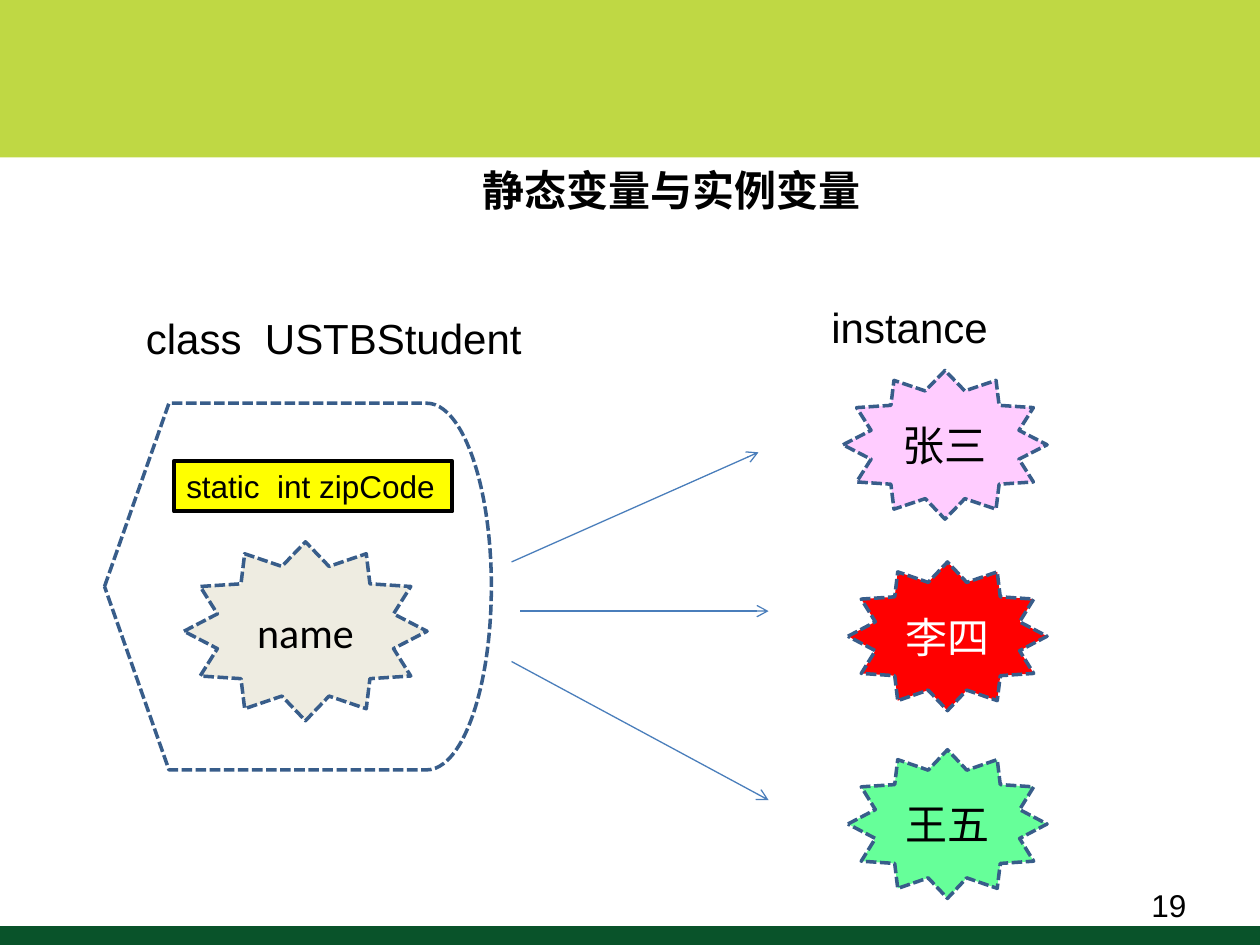
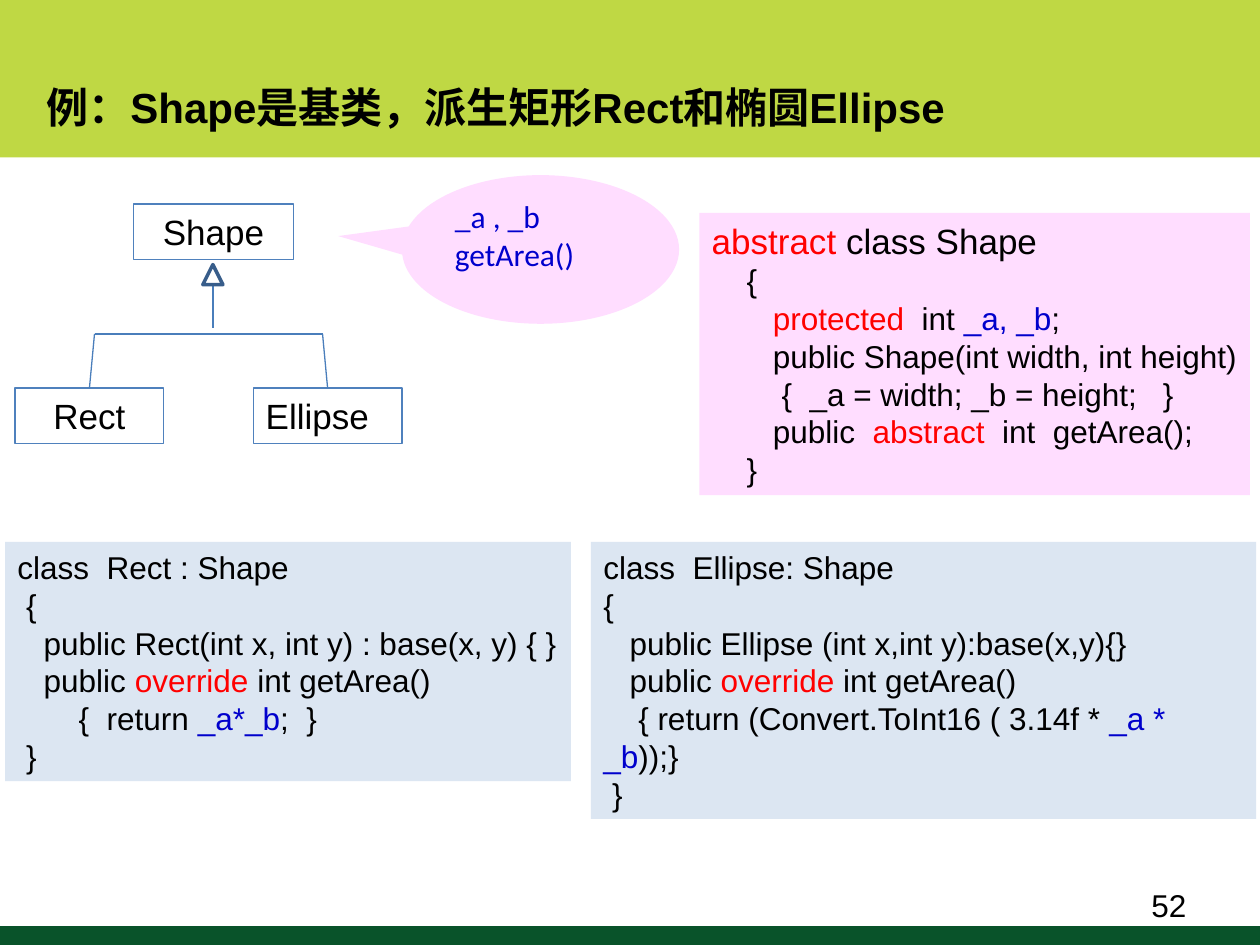
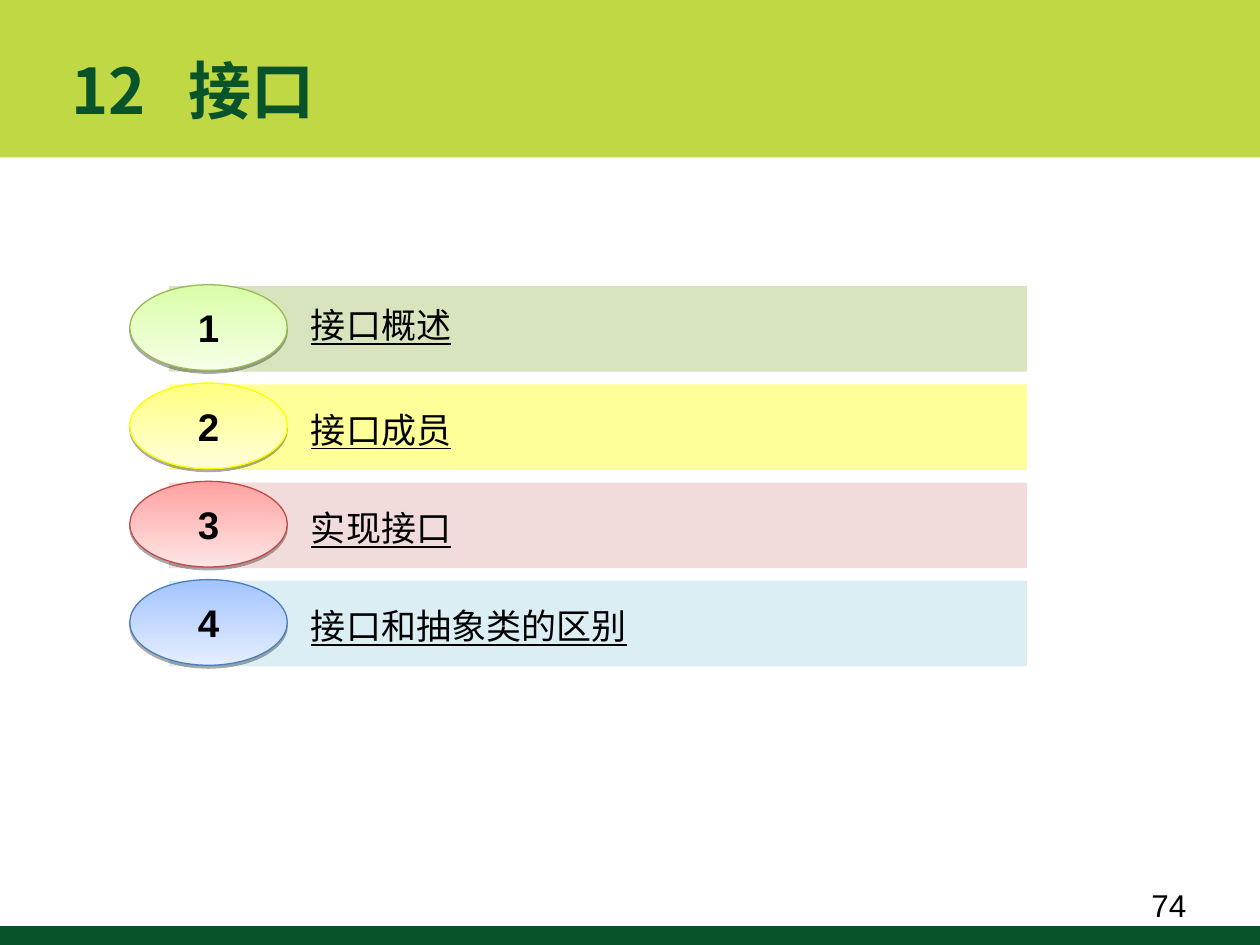
"""Build three teaching slides on static variables, inheritance and interfaces."""
from dataclasses import dataclass
from typing import NamedTuple, Optional, Union

from lxml.etree import SubElement
from pptx import Presentation
from pptx.dml.color import RGBColor
from pptx.enum.dml import MSO_LINE
from pptx.enum.shapes import MSO_CONNECTOR, MSO_SHAPE as Preset
from pptx.enum.text import MSO_ANCHOR as Anchor, PP_ALIGN as Align
from pptx.oxml.ns import qn
from pptx.shapes.autoshape import Shape
from pptx.shapes.connector import Connector
from pptx.slide import Slide
from pptx.util import Inches, Pt

BLACK = RGBColor(0x00, 0x00, 0x00)
WHITE = RGBColor(0xFF, 0xFF, 0xFF)
LIME = RGBColor(0xBF, 0xD8, 0x44)
FOREST = RGBColor(0x09, 0x53, 0x2A)
RED = RGBColor(0xFF, 0x00, 0x00)
BLUE = RGBColor(0x00, 0x00, 0xCC)
YELLOW = RGBColor(0xFF, 0xFF, 0x00)
BEIGE = RGBColor(0xEE, 0xEC, 0xE1)
ORCHID = RGBColor(0xFF, 0xCC, 0xFF)
MINT = RGBColor(0x66, 0xFF, 0x99)
PINK = RGBColor(0xFF, 0xDD, 0xFF)
ICE = RGBColor(0xDC, 0xE6, 0xF2)
NAVY = RGBColor(0x38, 0x5D, 0x8A)
BOX_BLUE = RGBColor(0x4F, 0x81, 0xBD)
LINE_BLUE = RGBColor(0x4A, 0x7E, 0xBB)
CJK_FONT = "Noto Sans CJK SC"

COLUMNS, ROWS = 100, 75
WIDTH, HEIGHT = Inches(10), Inches(7.5)


class Box(NamedTuple):
    left: float
    top: float
    width: float
    height: float


class Point(NamedTuple):
    column: float
    row: float


class Outline(NamedTuple):
    color: RGBColor
    width: float
    dash: Optional[MSO_LINE] = None


class ColorRun(NamedTuple):
    text: str
    color: RGBColor


@dataclass(frozen=True)
class TextStyle:
    size: float
    font: str = "Arial"
    color: RGBColor = BLACK
    bold: bool = False
    underline: bool = False
    align: Align = Align.LEFT
    tab: Optional[float] = None


@dataclass(frozen=True)
class Star:
    text: str
    box: Box
    fill: RGBColor
    color: RGBColor = BLACK


@dataclass(frozen=True)
class CodeBox:
    box: Box
    fill: RGBColor
    lines: list
    first_size: float = 18


@dataclass(frozen=True)
class AgendaItem:
    text: str
    bar: RGBColor
    light: RGBColor
    dark: RGBColor
    edge: RGBColor
    text_offset: float = 1.4


Line = Union[str, list]
DASHED = Outline(NAVY, 2, MSO_LINE.SQUARE_DOT)
HEADING = TextStyle(24, bold=True)
LABEL = TextStyle(24)
BODY = TextStyle(18)

STARS = [
    Star("name", Box(14.6, 43, 19.3, 14.2), BEIGE),
    Star("张三", Box(66.9, 29.4, 16.2, 11.8), ORCHID),
    Star("李四", Box(67.3, 44.6, 15.8, 11.8), RED, WHITE),
    Star("王五", Box(67.3, 59.5, 15.8, 11.8), MINT),
]
ARROWS = [
    (Point(40.6, 44.6), Point(60.2, 35.9)),
    (Point(41.3, 48.5), Point(61, 48.5)),
    (Point(40.6, 52.5), Point(61, 63.5)),
]
CODE_BOXES = [
    CodeBox(Box(55.5, 16.9, 43.7, 22.4), PINK, [
        [ColorRun("abstract", RED), " class Shape"],
        "    {",
        ["       ", ColorRun("protected", RED), "  int ", ColorRun("_a, _b", BLUE), ";"],
        "       public Shape(int width, int height)",
        "        {  _a = width; _b = height;   }",
        ["       public  ", ColorRun("abstract", RED), "  int  getArea();"],
        "    }",
    ], first_size=20),
    CodeBox(Box(0.4, 43, 44.9, 19), ICE, [
        "class  Rect : Shape",
        " {",
        "   public Rect(int x, int y) : base(x, y) { }",
        ["   public ", ColorRun("override", RED), " int getArea()"],
        ["       {  return ", ColorRun("_a*_b", BLUE), ";  }"],
        " }",
    ]),
    CodeBox(Box(46.9, 43, 52.8, 22), ICE, [
        "class  Ellipse: Shape",
        "{",
        "   public Ellipse (int x,int y):base(x,y){}",
        ["   public ", ColorRun("override", RED), " int getArea()"],
        ["    { return (Convert.ToInt16 ( 3.14f * ", ColorRun("_a * _b", BLUE), "));}"],
        " }",
    ]),
]
AGENDA = [
    AgendaItem("接口概述", RGBColor(0xD7, 0xE4, 0xBD), RGBColor(0xF5, 0xFF, 0xE6),
               RGBColor(0xDA, 0xFD, 0xA7), RGBColor(0x98, 0xB9, 0x54), 0.9),
    AgendaItem("接口成员", RGBColor(0xFF, 0xFF, 0x99), RGBColor(0xFF, 0xFF, 0xDA),
               RGBColor(0xFF, 0xFF, 0x80), YELLOW),
    AgendaItem("实现接口", RGBColor(0xF2, 0xDC, 0xDB), RGBColor(0xFF, 0xE5, 0xE5),
               RGBColor(0xFF, 0xA2, 0xA1), RGBColor(0xBE, 0x4B, 0x48)),
    AgendaItem("接口和抽象类的区别", RGBColor(0xDB, 0xEE, 0xF4), RGBColor(0xE5, 0xEE, 0xFF),
               RGBColor(0xA3, 0xC4, 0xFF), LINE_BLUE),
]


def across(columns: float) -> int:
    return round(WIDTH * columns / COLUMNS)


def down(rows: float) -> int:
    return round(HEIGHT * rows / ROWS)


def place(box: Box) -> tuple:
    return across(box.left), down(box.top), across(box.width), down(box.height)


def write(shape: Shape, lines: list[Line], style: TextStyle,
          anchor: Anchor = Anchor.TOP, wrap: bool = True) -> None:
    frame = shape.text_frame
    frame.word_wrap = wrap
    frame.vertical_anchor = anchor
    for index, line in enumerate(lines):
        paragraph = frame.paragraphs[0] if index == 0 else frame.add_paragraph()
        for part in [line] if isinstance(line, str) else line:
            run = paragraph.add_run()
            if isinstance(part, ColorRun):
                run.text = part.text
                run.font.color.rgb = part.color
            else:
                run.text = part
        paragraph.alignment = style.align
        properties = paragraph._p.get_or_add_pPr()
        if style.tab is not None:
            tabs = SubElement(properties, qn("a:tabLst"))
            SubElement(tabs, qn("a:tab"), pos=str(across(style.tab)), algn="l")
        font = paragraph.font
        font.name, font.size = style.font, Pt(style.size)
        font.bold, font.underline = style.bold, style.underline
        font.color.rgb = style.color
        SubElement(properties.find(qn("a:defRPr")), qn("a:ea"), typeface=CJK_FONT)


def add_text(slide: Slide, text: str, box: Box, style: TextStyle,
             anchor: Anchor = Anchor.TOP, wrap: bool = True) -> None:
    write(slide.shapes.add_textbox(*place(box)), [text], style, anchor, wrap)


def draw(shapes, preset: Preset, box: Box, fill: Optional[RGBColor] = None,
         outline: Optional[Outline] = None) -> Shape:
    shape = shapes.add_shape(preset, *place(box))
    shape.shadow.inherit = False
    if fill is None:
        shape.fill.background()
    else:
        shape.fill.solid()
        shape.fill.fore_color.rgb = fill
    if outline is None:
        shape.line.fill.background()
    else:
        shape.line.color.rgb = outline.color
        shape.line.width = Pt(outline.width)
        if outline.dash is not None:
            shape.line.dash_style = outline.dash
    return shape


def connect(slide: Slide, start: Point, end: Point, arrow: bool = False) -> Connector:
    connector = slide.shapes.add_connector(
        MSO_CONNECTOR.STRAIGHT, across(start.column), down(start.row),
        across(end.column), down(end.row))
    connector.line.color.rgb = LINE_BLUE
    connector.line.width = Pt(0.75)
    properties = connector._element.spPr
    if arrow:
        SubElement(properties.find(qn("a:ln")), qn("a:tailEnd"), type="arrow")
    SubElement(properties, qn("a:effectLst"))
    return connector


def add_page(presentation, number: int) -> Slide:
    slide = presentation.slides.add_slide(presentation.slide_layouts[6])
    draw(slide.shapes, Preset.RECTANGLE, Box(0, 0, COLUMNS, 12.5), LIME)
    draw(slide.shapes, Preset.RECTANGLE, Box(0, 73.5, COLUMNS, 1.5), FOREST)
    add_text(slide, str(number), Box(90.4, 69.8, 13.4, 4), BODY, wrap=False)
    return slide


def build_variables(slide: Slide) -> None:
    draw(slide.shapes, Preset.FLOWCHART_DISPLAY, Box(8.3, 32, 30.7, 29.1), outline=DASHED)
    static_field = draw(slide.shapes, Preset.RECTANGLE, Box(13.8, 36.6, 22.1, 4),
                        YELLOW, Outline(BLACK, 2.25))
    write(static_field, ["static  int zipCode"], BODY)
    for star in STARS:
        shape = draw(slide.shapes, Preset.STAR_12_POINT, star.box, star.fill, DASHED)
        style = TextStyle(24, "Calibri", star.color, align=Align.CENTER)
        write(shape, [star.text], style, Anchor.MIDDLE, wrap=False)
    for start, end in ARROWS:
        connect(slide, start, end, arrow=True)
    add_text(slide, "class  USTBStudent", Box(10.6, 24.3, 34.7, 5), LABEL)
    add_text(slide, "instance", Box(65, 23.4, 17.1, 5), LABEL)
    add_text(slide, "静态变量与实例变量", Box(37.3, 12.6, 32, 5), HEADING, wrap=False)


def add_class(slide: Slide, name: str, box: Box, align: Align = Align.CENTER) -> Shape:
    shape = draw(slide.shapes, Preset.RECTANGLE, box, outline=Outline(BOX_BLUE, 0.75))
    write(shape, [name], TextStyle(20, align=align))
    return shape


def build_inheritance(slide: Slide) -> None:
    add_text(slide, "例：Shape是基类，派生矩形Rect和椭圆Ellipse",
             Box(2.7, 6, 85.8, 5), HEADING)
    add_class(slide, "Shape", Box(10.6, 16.2, 12.7, 4.4))
    children = [
        add_class(slide, "Rect", Box(1.2, 30.8, 11.8, 4.4)),
        add_class(slide, "Ellipse", Box(20.1, 30.8, 11.8, 4.4), Align.LEFT),
    ]
    connect(slide, Point(16.9, 22.5), Point(16.9, 26))
    corners = [Point(7.5, 26.5), Point(25.6, 26.5)]
    connect(slide, *corners)
    for corner, child in zip(corners, children):
        connect(slide, corner, corner).end_connect(child, 0)
    draw(slide.shapes, Preset.ISOSCELES_TRIANGLE, Box(16.1, 21, 1.6, 1.6),
         outline=Outline(NAVY, 2))
    callout = draw(slide.shapes, Preset.OVAL_CALLOUT, Box(31.9, 13.9, 22, 11.8), PINK)
    callout.adjustments[0], callout.adjustments[1] = -0.73, -0.09
    callout.text_frame.margin_top = 0
    write(callout, ["_a , _b", "getArea()"], TextStyle(18, "Calibri", BLUE))
    for code in CODE_BOXES:
        shape = draw(slide.shapes, Preset.RECTANGLE, code.box, code.fill)
        write(shape, code.lines, BODY)
        shape.text_frame.paragraphs[0].font.size = Pt(code.first_size)


def add_badge(shapes, number: int, item: AgendaItem, box: Box) -> None:
    badge = draw(shapes, Preset.OVAL, box, item.dark, Outline(item.edge, 0.75))
    badge.fill.gradient()
    badge.fill.gradient_angle = 270
    for stop, color in zip(badge.fill.gradient_stops, (item.dark, item.light)):
        stop.color.rgb = color
    shadow = SubElement(badge._element.spPr.find(qn("a:effectLst")), qn("a:outerShdw"),
                        dist=str(Pt(1.6)), dir="5400000", rotWithShape="0")
    shade = SubElement(shadow, qn("a:srgbClr"), val=str(BLACK))
    SubElement(shade, qn("a:alpha"), val="33000")
    write(badge, [str(number)], TextStyle(22, bold=True, align=Align.CENTER), Anchor.MIDDLE)


def build_agenda(slide: Slide) -> None:
    first_row, pitch = 22.7, 7.8
    add_text(slide, "12\t接口", Box(4.7, 2.3, 68, 9.5),
             TextStyle(36, CJK_FONT, FOREST, bold=True, tab=9.3), Anchor.MIDDLE)
    for index, item in enumerate(AGENDA):
        top = first_row + index * pitch
        group = slide.shapes.add_group_shape()
        draw(group.shapes, Preset.RECTANGLE, Box(13.4, top, 68.1, 6.8), item.bar)
        add_badge(group.shapes, index + 1, item, Box(10.3, top - 0.1, 12.5, 6.8))
        add_text(slide, item.text, Box(23.7, top + item.text_offset, 34.4, 4.4),
                 TextStyle(20, CJK_FONT, underline=True))


def main() -> None:
    presentation = Presentation()
    presentation.slide_width, presentation.slide_height = WIDTH, HEIGHT
    build_variables(add_page(presentation, 19))
    build_inheritance(add_page(presentation, 52))
    build_agenda(add_page(presentation, 74))
    presentation.save("out.pptx")


if __name__ == "__main__":
    main()
